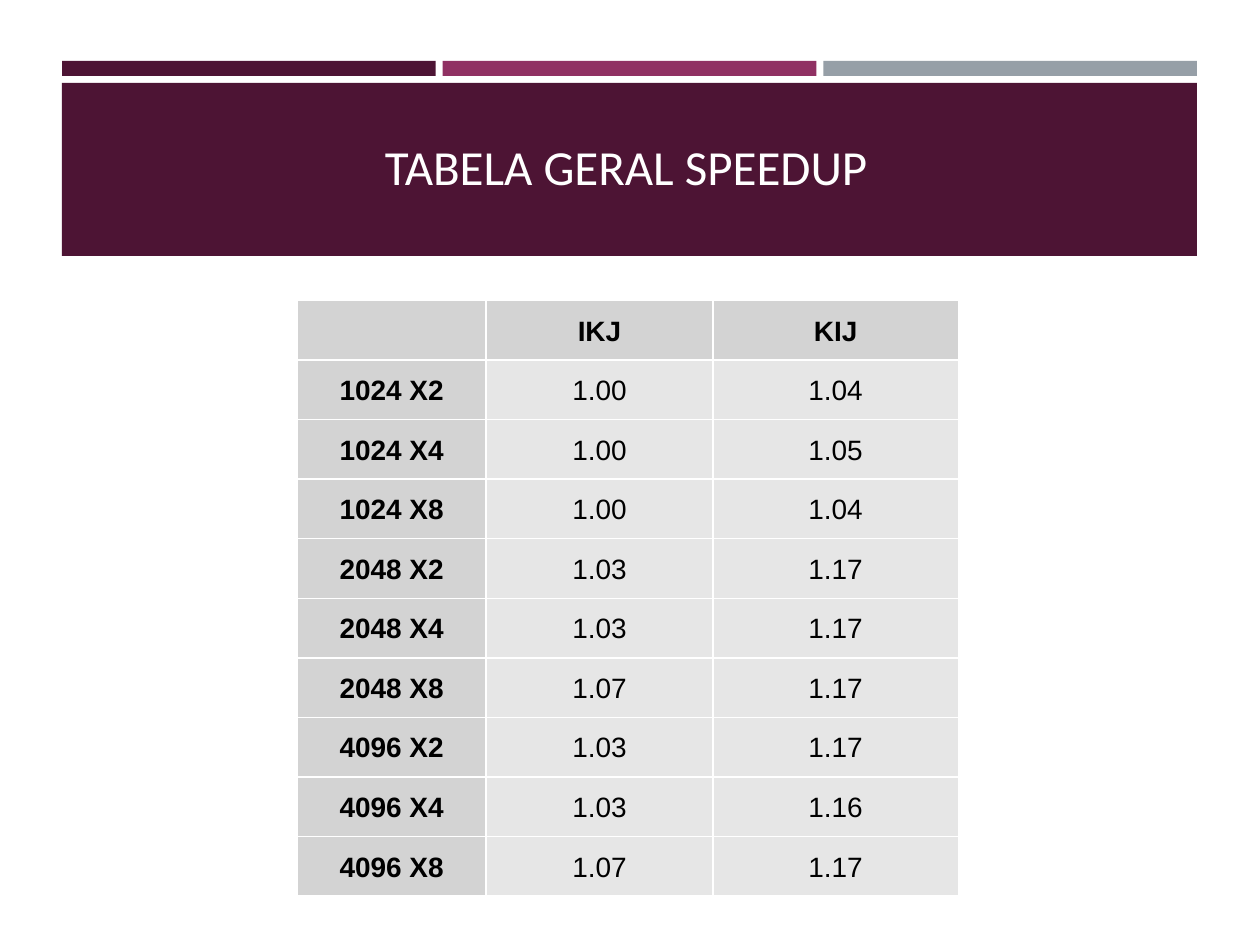
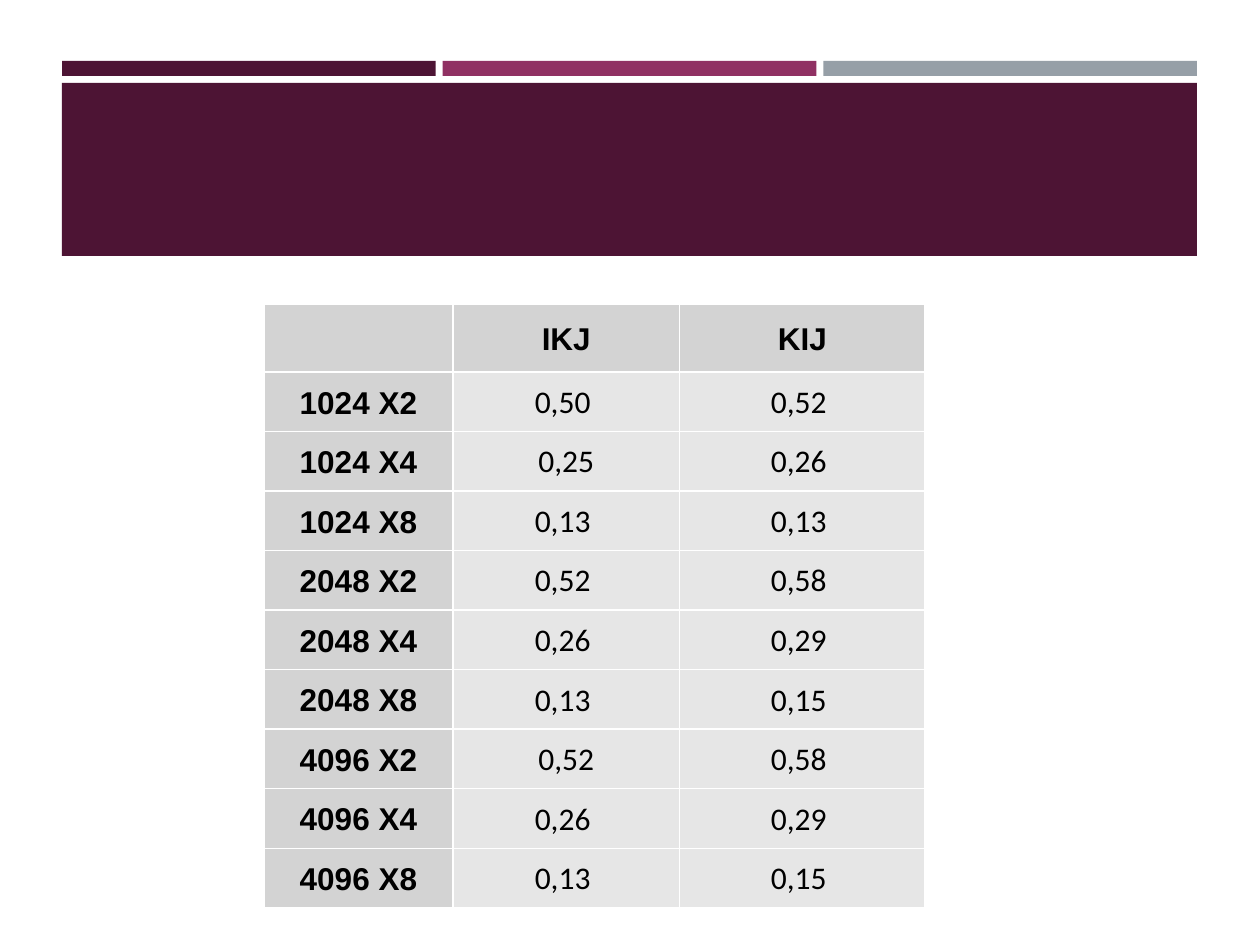
import itertools

import pptx
import pptx.dml.color
import pptx.enum.shapes
import pptx.enum.text
import pptx.oxml
import pptx.oxml.ns
import pptx.util

Cm, Pt = pptx.util.Cm, pptx.util.Pt
RGBColor = pptx.dml.color.RGBColor
ANCHOR = pptx.enum.text.MSO_ANCHOR
CENTER = pptx.enum.text.PP_ALIGN.CENTER

# Colours
PLUM = RGBColor(0x4D, 0x14, 0x34)
MAGENTA = RGBColor(0x90, 0x31, 0x63)
STEEL = RGBColor(0x96, 0x9F, 0xA7)
WHITE = RGBColor(0xFF, 0xFF, 0xFF)
BLACK = RGBColor(0x00, 0x00, 0x00)
HEADING_GREY = RGBColor(0xD3, 0xD3, 0xD3)
VALUE_GREY = RGBColor(0xE6, 0xE6, 0xE6)

# Header band, in centimetres
BAND_LEFT, BAND_WIDTH = 1.25, 22.88
STRIPE_GAP = 0.14

# Table grid, in centimetres
COLUMN_WIDTHS = (3.81, 4.57, 4.95)
ROW_HEIGHT = 1.2

# Text formats
TITLE_FONT = {"name": "Calibri", "size": Pt(28), "bold": False}
HEADING_16 = {"name": "Arial", "size": Pt(16), "bold": True}
HEADING_18 = {"name": "Arial", "size": Pt(18), "bold": True}
VALUE_ARIAL = {"name": "Arial", "size": Pt(16), "bold": False}
VALUE_CALIBRI = {"name": "Calibri", "size": Pt(18), "bold": False}

# Table content: matrix sizes by thread counts, one value pair for each
HEADERS = ("", "IKJ", "KIJ")
ROW_LABELS = [f"{size} X{threads}"
              for size, threads in itertools.product((1024, 2048, 4096), (2, 4, 8))]
SPEEDUPS = [
    ("1.00", "1.04"), ("1.00", "1.05"), ("1.00", "1.04"),
    ("1.03", "1.17"), ("1.03", "1.17"), ("1.07", "1.17"),
    ("1.03", "1.17"), ("1.03", "1.16"), ("1.07", "1.17"),
]
EFFICIENCIES = [
    ("0,50 ", "0,52 "), ("0,25", "0,26 "), ("0,13 ", "0,13 "),
    ("0,52 ", "0,58 "), ("0,26 ", "0,29 "), ("0,13 ", "0,15 "),
    (" 0,52 ", "0,58 "), ("0,26 ", "0,29 "), ("0,13 ", "0,15 "),
]


def set_attributes(target, values):
    for name, value in values.items():
        setattr(target, name, value)


def write_text(frame, text, font, color):
    para = frame.paragraphs[0]
    para.alignment = CENTER
    span = para.add_run()
    span.text = text
    set_attributes(span.font, font)
    span.font.color.rgb = color


def add_block(page, left, top, width, height, color):
    block = page.shapes.add_shape(pptx.enum.shapes.MSO_SHAPE.RECTANGLE,
                                  Cm(left), Cm(top), Cm(width), Cm(height))
    block.shadow.inherit = False
    block.fill.solid()
    block.fill.fore_color.rgb = color
    block.line.fill.background()


def add_header(page):
    """Three equal stripes above the title band."""
    colors = (PLUM, MAGENTA, STEEL)
    width = (BAND_WIDTH - STRIPE_GAP * (len(colors) - 1)) / len(colors)
    for index, color in enumerate(colors):
        left = BAND_LEFT + index * (width + STRIPE_GAP)
        add_block(page, left, 1.23, width, 0.3, color)
    add_block(page, BAND_LEFT, 1.67, BAND_WIDTH, 3.49, PLUM)


def add_title(page, text):
    box = page.shapes.add_textbox(Cm(1.52), Cm(2.39), Cm(22.2), Cm(1.68))
    set_attributes(box.text_frame, {"word_wrap": True, "vertical_anchor": ANCHOR.BOTTOM})
    write_text(box.text_frame, text, TITLE_FONT, WHITE)


def add_borders(cell):
    """White one-point lines on all four sides, placed before the fill."""
    properties = cell._tc.get_or_add_tcPr()
    for index, side in enumerate(("lnL", "lnR", "lnT", "lnB")):
        properties.insert(index, pptx.oxml.parse_xml(
            f'<a:{side} {pptx.oxml.ns.nsdecls("a")} w="{Pt(1)}">'
            f'<a:solidFill><a:srgbClr val="{WHITE}"/></a:solidFill></a:{side}>'))


def fill_cell(cell, text, font, color, margin):
    cell.fill.solid()
    cell.fill.fore_color.rgb = color
    add_borders(cell)
    set_attributes(cell, {
        "vertical_anchor": ANCHOR.MIDDLE, "margin_left": Cm(margin),
        "margin_right": Cm(margin), "margin_top": Cm(margin), "margin_bottom": 0,
    })
    if text:
        write_text(cell.text_frame, text, font, BLACK)


def add_results(page, left, top, header_height, values, heading_font, value_font,
                value_margin):
    rows = [HEADERS] + [(label, *pair) for label, pair in zip(ROW_LABELS, values)]
    heights = [header_height] + [ROW_HEIGHT] * len(values)
    table = page.shapes.add_table(len(rows), len(HEADERS), Cm(left), Cm(top),
                                  Cm(sum(COLUMN_WIDTHS)), Cm(sum(heights))).table
    set_attributes(table, {"first_row": False, "horz_banding": False})
    for column, width in zip(table.columns, COLUMN_WIDTHS):
        column.width = Cm(width)
    for row, height in zip(table.rows, heights):
        row.height = Cm(height)
    for row_index, texts in enumerate(rows):
        for column_index, text in enumerate(texts):
            cell = table.cell(row_index, column_index)
            if row_index == 0 or column_index == 0:
                fill_cell(cell, text, heading_font, HEADING_GREY, 0.05)
            else:
                fill_cell(cell, text, value_font, VALUE_GREY, value_margin)


def add_page(deck):
    page = deck.slides.add_slide(deck.slide_layouts[6])
    add_header(page)
    return page


def main():
    deck = pptx.Presentation()
    set_attributes(deck, {"slide_width": Cm(25.4), "slide_height": Cm(19.05)})

    # Speedup
    page = add_page(deck)
    add_title(page, "TABELA GERAL SPEEDUP")
    add_results(page, 5.99, 6.06, ROW_HEIGHT, SPEEDUPS, HEADING_16, VALUE_ARIAL, 0.05)

    # Efficiency, with an empty title band
    page = add_page(deck)
    add_results(page, 5.32, 6.13, 1.37, EFFICIENCIES, HEADING_18, VALUE_CALIBRI, 0.03)

    deck.save("out.pptx")


if __name__ == "__main__":
    main()
